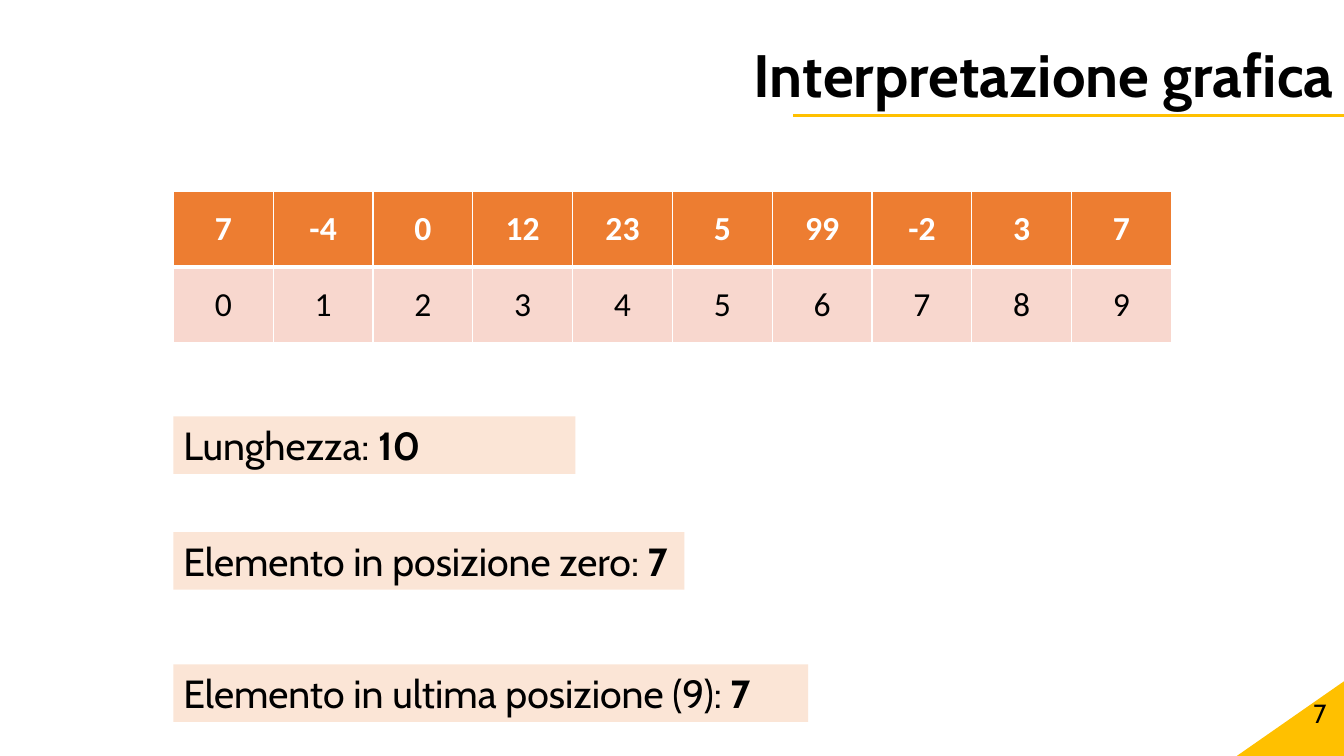
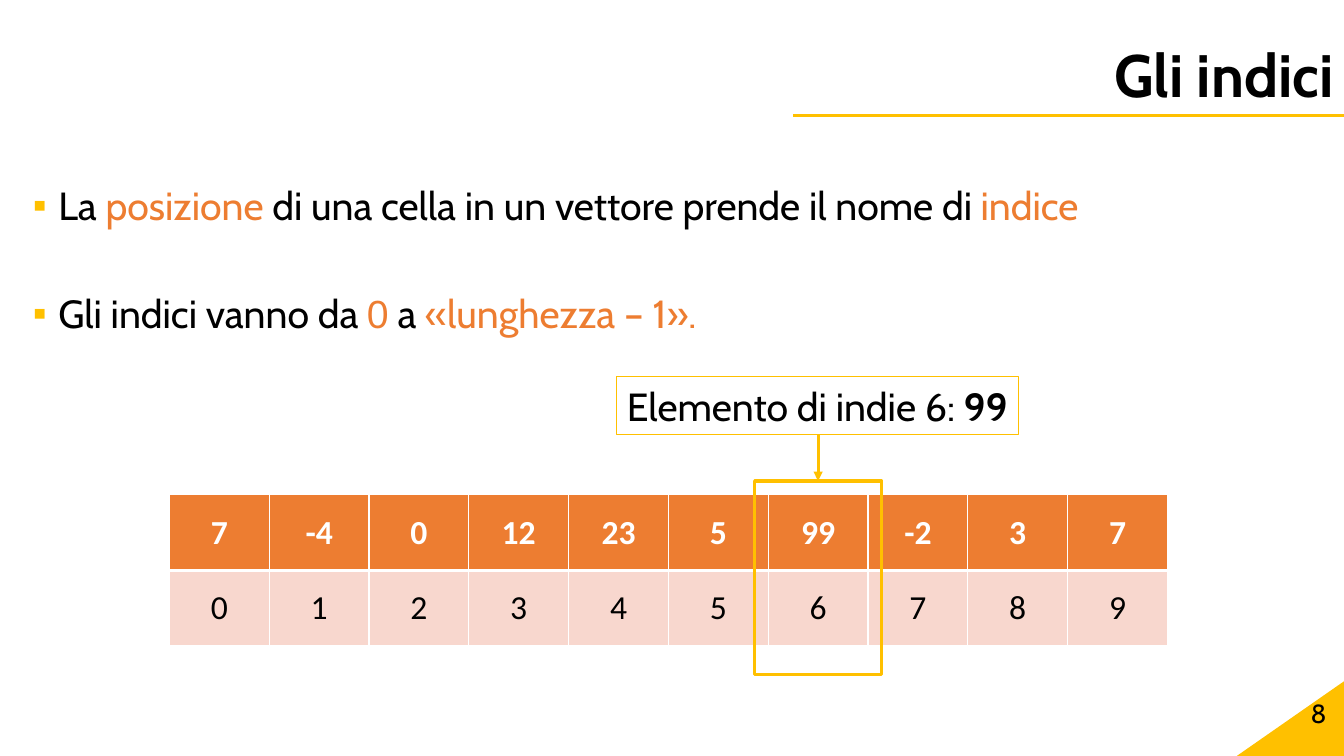
from dataclasses import dataclass

from lxml.etree import SubElement
from pptx import Presentation
from pptx.dml.color import RGBColor
from pptx.enum.shapes import MSO_CONNECTOR, MSO_SHAPE
from pptx.enum.text import MSO_ANCHOR, MSO_AUTO_SIZE, PP_ALIGN
from pptx.oxml.ns import qn
from pptx.util import Cm, Pt


@dataclass(frozen=True)
class Theme:
    black: str = "000000"
    white: str = "FFFFFF"
    gold: str = "FFC000"
    orange: str = "ED7D31"
    pink: str = "F8D7CE"
    cream: str = "FBE5D6"
    font: str = "Cabin"
    table_font: str = "Calibri"
    digit_font: str = "Arial"
    title_size: float = 42.7
    text_size: float = 28
    table_size: float = 24
    number_size: float = 18.7
    thick: float = 2.25
    thin: float = 0.75


@dataclass(frozen=True)
class Box:
    left: float
    top: float
    width: float
    height: float

    @property
    def right(self):
        return self.left + self.width

    @property
    def bottom(self):
        return self.top + self.height

    @property
    def center(self):
        return self.left + self.width / 2

    def lengths(self):
        return Cm(self.left), Cm(self.top), Cm(self.width), Cm(self.height)


theme = Theme()
SLIDE = Box(0, 0, 33.87, 19.05)
TITLE = Box(0, 1.02, SLIDE.width, 1.88)
VALUES = [7, -4, 0, 12, 23, 5, 99, -2, 3, 7]
LABEL_HEIGHT = 1.45


def style(font, size, color=theme.black, name=theme.font, bold=False):
    font.size = Pt(size)
    font.name = name
    font.bold = bold
    font.color.rgb = RGBColor.from_string(color)


def add_rectangle(page, box, kind=MSO_SHAPE.RECTANGLE, fill=None, line=None, weight=theme.thin):
    shape = page.shapes.add_shape(kind, *box.lengths())
    shape.shadow.inherit = False
    if fill:
        shape.fill.solid()
        shape.fill.fore_color.rgb = RGBColor.from_string(fill)
    else:
        shape.fill.background()
    if line:
        shape.line.color.rgb = RGBColor.from_string(line)
        shape.line.width = Pt(weight)
    else:
        shape.line.fill.background()
    return shape


def add_line(page, start, end, arrow=False):
    points = [Cm(length) for length in (*start, *end)]
    line = page.shapes.add_connector(MSO_CONNECTOR.STRAIGHT, *points)
    line.line.color.rgb = RGBColor.from_string(theme.gold)
    line.line.width = Pt(theme.thick)
    if arrow:
        SubElement(line.line._get_or_add_ln(), qn("a:tailEnd"), type="triangle")
    SubElement(line._element.spPr, qn("a:effectLst"))


def add_page(deck, title, number):
    page = deck.slides.add_slide(deck.slide_layouts[5])
    corner = Box(SLIDE.right - 2.7, SLIDE.bottom - 1.88, 2.7, 1.88)
    triangle = add_rectangle(page, corner, MSO_SHAPE.RIGHT_TRIANGLE, theme.gold)
    triangle._element.spPr.find(qn("a:xfrm")).set("flipH", "1")
    add_line(page, (19.99, TITLE.bottom), (SLIDE.right, TITLE.bottom))
    add_heading(page.shapes.title, TITLE, title)
    add_number(page, Box(26.06, 17.45, 7.62, 1.02), number)
    return page


def add_heading(heading, box, title):
    heading.left, heading.top, heading.width, heading.height = box.lengths()
    frame = heading.text_frame
    frame.text = title
    frame.vertical_anchor = MSO_ANCHOR.MIDDLE
    frame.auto_size = MSO_AUTO_SIZE.NONE
    para = frame.paragraphs[0]
    para.alignment = PP_ALIGN.RIGHT
    para.line_spacing = 0.9
    style(para.font, theme.title_size, bold=True)


def add_number(page, box, number):
    frame = page.shapes.add_textbox(*box.lengths()).text_frame
    frame.word_wrap = True
    frame.vertical_anchor = MSO_ANCHOR.MIDDLE
    para = frame.paragraphs[0]
    para.text = str(number)
    para.alignment = PP_ALIGN.RIGHT
    style(para.font, theme.number_size)


def add_label(page, box, caption, value, fill=None, line=None):
    shape = add_rectangle(page, box, fill=fill, line=line)
    frame = shape.text_frame
    frame.word_wrap = True
    frame.auto_size = MSO_AUTO_SIZE.SHAPE_TO_FIT_TEXT
    frame.vertical_anchor = MSO_ANCHOR.TOP
    para = frame.paragraphs[0]
    para.alignment = PP_ALIGN.LEFT
    for text, bold in ((caption, False), (value, True)):
        span = para.add_run()
        span.text = text
        style(span.font, theme.text_size, bold=bold)


def set_borders(cell, top, bottom):
    properties = cell._tc.get_or_add_tcPr()
    for side, width in (("L", 1), ("R", 1), ("T", top), ("B", bottom)):
        border = SubElement(properties, qn(f"a:ln{side}"), w=str(Pt(width)))
        fill = SubElement(border, qn("a:solidFill"))
        SubElement(fill, qn("a:srgbClr"), val=theme.white)


def add_vector(page, box):
    table = page.shapes.add_table(2, len(VALUES), *box.lengths()).table
    rows = (
        (VALUES, theme.orange, theme.white, True, 1, 3),
        (range(len(VALUES)), theme.pink, theme.black, False, 3, 1),
    )
    for row, (values, fill, color, bold, top, bottom) in enumerate(rows):
        for column, value in enumerate(values):
            cell = table.cell(row, column)
            set_borders(cell, top, bottom)
            cell.fill.solid()
            cell.fill.fore_color.rgb = RGBColor.from_string(fill)
            cell.vertical_anchor = MSO_ANCHOR.MIDDLE
            para = cell.text_frame.paragraphs[0]
            para.alignment = PP_ALIGN.CENTER
            span = para.add_run()
            span.text = str(value)
            style(span.font, theme.table_size, color, theme.table_font, bold)


def add_bullets(page, box, bullets):
    frame = page.shapes.add_textbox(*box.lengths()).text_frame
    frame.word_wrap = True
    for index, spans in enumerate(bullets):
        para = frame.add_paragraph() if index else frame.paragraphs[0]
        para.alignment = PP_ALIGN.JUSTIFY
        para.line_spacing = 2.0
        para.space_before = Pt(10)
        properties = para._p.get_or_add_pPr()
        properties.set("marL", str(Cm(0.64)))
        properties.set("indent", str(-Cm(0.64)))
        color = SubElement(properties, qn("a:buClr"))
        SubElement(color, qn("a:srgbClr"), val=theme.gold)
        SubElement(properties, qn("a:buFont"), typeface=theme.digit_font)
        SubElement(properties, qn("a:buChar"), char="▪")
        for position, text in enumerate(spans):
            span = para.add_run()
            span.text = text
            name = theme.digit_font if text.isdigit() else theme.font
            style(span.font, theme.text_size, theme.orange if position % 2 else theme.black, name)


def add_callout(page, vector, index):
    column = vector.width / len(VALUES)
    center = vector.left + (index + 0.5) * column
    frame = Box(center - 1.6, vector.top - 0.35, 3.2, 4.88)
    label = Box(center - 5.07, frame.top - 2.62, 10.13, LABEL_HEIGHT)
    add_label(page, label, f"Elemento di indie {index}: ", str(VALUES[index]), line=theme.gold)
    add_line(page, (center, label.bottom), (center, frame.top), arrow=True)
    add_rectangle(page, frame, line=theme.gold, weight=theme.thick)


def build_interpretation(deck):
    page = add_page(deck, "Interpretazione grafica", 7)
    vector = Box(4.37, 4.83, 25.15, 3.81)
    add_vector(page, vector)
    labels = (
        (10.49, 10.13, "Lunghezza: ", len(VALUES)),
        (13.41, 12.88, "Elemento in posizione zero: ", VALUES[0]),
        (16.74, 16, "Elemento in ultima posizione (9): ", VALUES[-1]),
    )
    for top, width, caption, value in labels:
        box = Box(vector.left, top, width, LABEL_HEIGHT)
        add_label(page, box, caption, str(value), fill=theme.cream)


def build_indices(deck):
    page = add_page(deck, "Gli indici", 8)
    add_bullets(page, Box(0.58, 3.25, 32.51, 13.92), (
        ("La ", "posizione", " di una cella in un vettore prende il nome di ", "indice"),
        ("Gli indici vanno da ", "0", " a ", "«lunghezza – 1»."),
    ))
    vector = Box(4.27, 12.47, 25.15, 3.81)
    add_vector(page, vector)
    add_callout(page, vector, 6)


deck = Presentation()
deck.slide_width, deck.slide_height = Cm(SLIDE.width), Cm(SLIDE.height)
build_interpretation(deck)
build_indices(deck)
deck.save("out.pptx")
